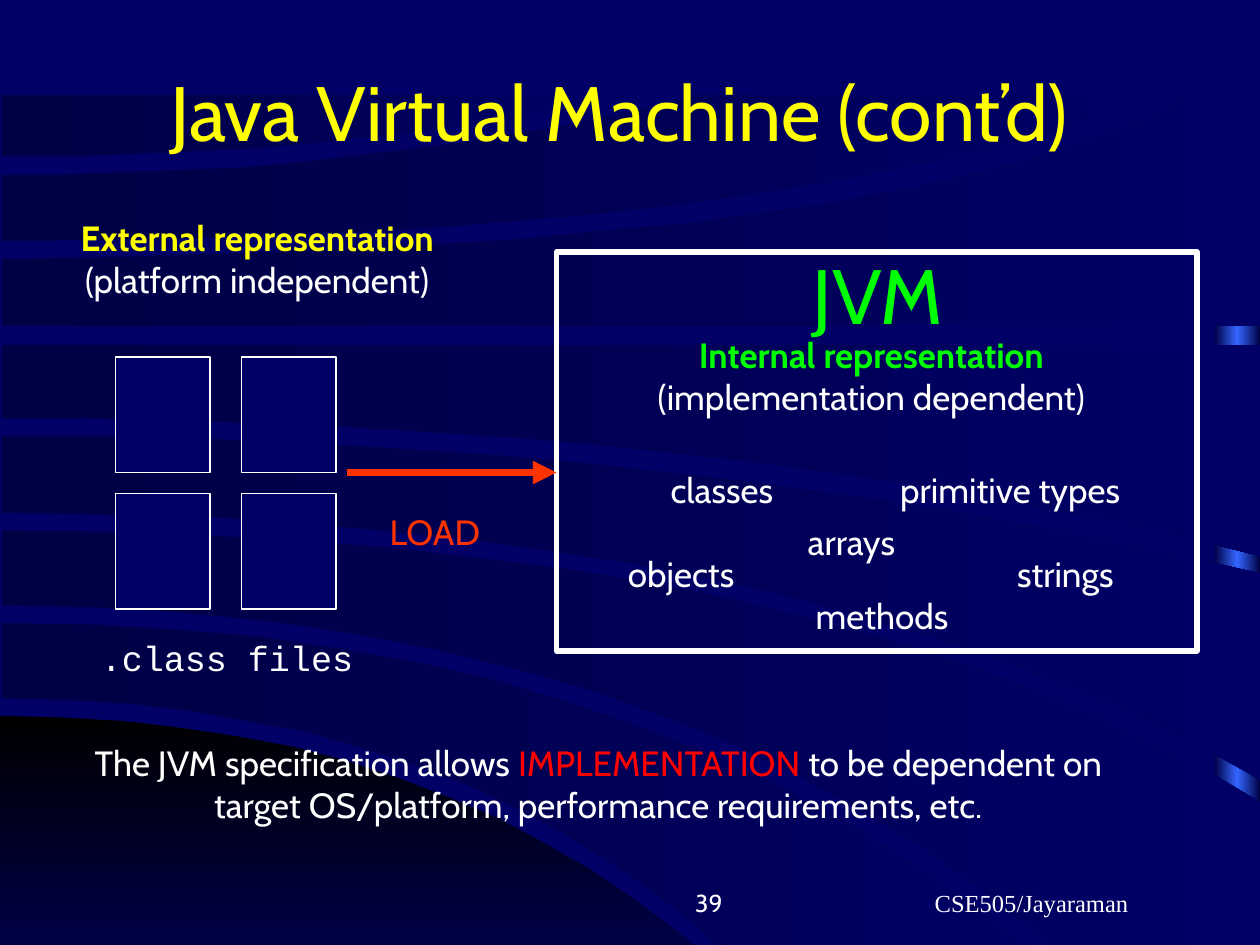
import copy

import pptx
import pptx.dml.color
import pptx.enum.shapes
import pptx.enum.text
import pptx.oxml
import pptx.oxml.ns
import pptx.util

Pt = pptx.util.Pt
ALIGN = pptx.enum.text.PP_ALIGN
ANCHOR = pptx.enum.text.MSO_ANCHOR
AUTO_SIZE = pptx.enum.text.MSO_AUTO_SIZE
RECTANGLE = pptx.enum.shapes.MSO_SHAPE.RECTANGLE

NAVY, DARK_NAVY, BLUE, BLACK = "000066", "000044", "3366FF", "000000"
WHITE, YELLOW, GREEN, RED, ORANGE = "FFFFFF", "FFFF00", "00FF00", "FF0000", "FF3300"

# Edges of the waves: start, control and end of a curve, then any corner
CORNER = ([(0, 409), (287, 409), (453, 595)], [(0, 595)])
WAVES = [
    ([(1, 356), (411, 356), (644, 594)], [(1, 399), (300, 400), (463, 594)]),
    ([(1, 303), (470, 304), (721, 459), (721, 594)],
     [(1, 346), (430, 348), (655, 594)]),
    ([(1, 249), (381, 249), (721, 328)], [(1, 293), (457, 293), (721, 446)]),
    ([(1, 197), (721, 197)], [(1, 239), (415, 239), (721, 318)]),
    ([(1, 148), (530, 143), (680, 54), (721, 54)], [(1, 186), (721, 186)]),
    ([(1, 100), (224, 100), (401, 54)], [(1, 138), (455, 136), (661, 54)]),
    ([(1, 54)], [(1, 89), (190, 90), (361, 54)]),
]

# Words inside the JVM frame: text, left, top, width
JVM_PARTS = [
    ("objects", 348.5, 312, 81.5),
    ("classes", 372, 264, 81),
    ("methods", 455, 336, 98),
    ("arrays", 450, 294, 73),
    ("strings", 569.5, 312, 78.5),
    ("primitive types", 500.5, 264, 153.5),
]


def rgb(value):
    return pptx.dml.color.RGBColor.from_string(value)


def set_gradient(shape, colours, angle):
    """Fill with evenly spaced gradient stops and no outline."""
    shape.shadow.inherit = False
    shape.line.fill.background()
    shape.fill.gradient()
    shape.fill.gradient_angle = angle
    stop_list = shape.element.xpath(".//a:gsLst")[0]
    while len(stop_list) < len(colours):
        stop_list.append(copy.deepcopy(stop_list[-1]))
    for index, (stop, colour) in enumerate(zip(shape.fill.gradient_stops, colours)):
        stop.position = index / (len(colours) - 1)
        stop.color.rgb = rgb(colour)


def trace_edge(edge, steps=16):
    """Points along a quadratic curve; shorter edges stay straight."""
    if len(edge) < 3:
        return edge
    points = []
    for step in range(steps + 1):
        t = step / steps
        weights = ((1 - t) ** 2, 2 * t * (1 - t), t ** 2)
        points.append(tuple(sum(w * value for w, value in zip(weights, values))
                            for values in zip(*edge[:3])))
    return points + edge[3:]


def add_wave(slide, edges, colours, angle=0):
    upper, lower = map(trace_edge, edges)
    outline = upper + lower[::-1]
    builder = slide.shapes.build_freeform(*outline[0], scale=Pt(1))
    builder.add_line_segments(outline[1:], close=True)
    set_gradient(builder.convert_to_shape(), colours, angle)


def add_rectangle(slide, left, top, width, height, line_width, fill=None):
    box = slide.shapes.add_shape(RECTANGLE, Pt(left), Pt(top), Pt(width), Pt(height))
    box.shadow.inherit = False
    if fill:
        box.fill.solid()
        box.fill.fore_color.rgb = rgb(fill)
    else:
        box.fill.background()
    box.line.color.rgb = rgb(WHITE)
    box.line.width = Pt(line_width)


def add_arrow(slide, start, end, colour, width):
    arrow = slide.shapes.add_connector(
        pptx.enum.shapes.MSO_CONNECTOR.STRAIGHT, *map(Pt, start + end))
    arrow.line.color.rgb = rgb(colour)
    arrow.line.width = Pt(width)
    namespace = pptx.oxml.ns.nsdecls("a")
    line = arrow.element.xpath(".//a:ln")[0]
    line.append(pptx.oxml.parse_xml(f'<a:tailEnd {namespace} type="triangle"/>'))
    arrow.element.spPr.append(pptx.oxml.parse_xml(f"<a:effectLst {namespace}/>"))


def write_lines(frame, lines, align=ALIGN.CENTER, size=20, font="Cabin"):
    """Each line is a list of (text, colour) or (text, colour, bold) spans."""
    for index, spans in enumerate(lines):
        para = frame.paragraphs[0] if index == 0 else frame.add_paragraph()
        para.alignment = align
        for text, colour, *bold in spans:
            span = para.add_run()
            span.text = text
            span.font.color.rgb = rgb(colour)
            formats = {"name": font, "size": Pt(size), "bold": bool(bold)}
            for name, value in formats.items():
                setattr(span.font, name, value)


def add_text(slide, left, top, width, height, lines, wrap=False,
             anchor=ANCHOR.TOP, auto_size=AUTO_SIZE.SHAPE_TO_FIT_TEXT, **formats):
    box = slide.shapes.add_textbox(Pt(left), Pt(top), Pt(width), Pt(height))
    settings = {"word_wrap": wrap, "vertical_anchor": anchor, "auto_size": auto_size}
    for name, value in settings.items():
        setattr(box.text_frame, name, value)
    write_lines(box.text_frame, lines, **formats)


def place_title(slide, text):
    title = slide.shapes.title
    places = {"left": 48, "top": 18, "width": 612, "height": 90}
    for name, value in places.items():
        setattr(title, name, Pt(value))
    title.text_frame.vertical_anchor = ANCHOR.MIDDLE
    write_lines(title.text_frame, [[(text, YELLOW)]], size=44)
    # Bring the title in front of the waves
    title.element.getparent().append(title.element)


def draw_background(slide):
    slide.background.fill.solid()
    slide.background.fill.fore_color.rgb = rgb(NAVY)
    strip = slide.shapes.add_shape(RECTANGLE, Pt(694), Pt(55), Pt(26), Pt(485))
    set_gradient(strip, [DARK_NAVY, BLUE, DARK_NAVY], 0)
    add_wave(slide, CORNER, [BLACK, NAVY], 270)
    for edges in WAVES:
        add_wave(slide, edges, [DARK_NAVY, NAVY])


def main():
    deck = pptx.Presentation()
    deck.slide_width, deck.slide_height = Pt(720), Pt(540)
    slide = deck.slides.add_slide(deck.slide_layouts[5])
    draw_background(slide)
    place_title(slide, "Java Virtual Machine (cont’d)")

    # External side: class files in a two by two grid
    add_text(slide, 20, 120, 254, 56, [[("External representation", YELLOW, True)],
                                       [("(platform independent)", WHITE)]])
    for row in range(2):
        for column in range(2):
            add_rectangle(slide, 66 + 72 * column, 204 + 78 * row, 54, 66, 0.75, NAVY)
    add_text(slide, 50.5, 360, 158.5, 32, [[(".class files", WHITE)]],
             font="Courier New")

    # Internal side: the JVM and its parts
    add_rectangle(slide, 318, 144, 366, 228, 3)
    add_text(slide, 455, 138, 93, 60, [[("JVM", GREEN)]], size=44)

    # Loading
    add_arrow(slide, (198, 270), (318, 270), ORANGE, 4.5)
    add_text(slide, 214.5, 288, 68, 32, [[("LOAD", ORANGE)]])

    add_text(slide, 336, 187, 324, 56, [[("Internal representation", GREEN, True)],
                                        [("(implementation dependent)", WHITE)]],
             wrap=True)
    for text, left, top, width in JVM_PARTS:
        add_text(slide, left, top, width, 32, [[(text, WHITE)]])

    # Closing remark
    add_text(slide, 0, 420, 684, 56, [
        [("The JVM specification allows ", WHITE), ("IMPLEMENTATION", RED),
         (" to be dependent on", WHITE)],
        [("target OS/platform, performance requirements, etc.", WHITE)]], wrap=True)

    # Slide number and footer
    footer = {"wrap": True, "anchor": ANCHOR.BOTTOM, "auto_size": AUTO_SIZE.NONE,
              "size": 14}
    add_text(slide, 270, 492, 150, 36, [[("39", WHITE)]], align=ALIGN.RIGHT, **footer)
    add_text(slide, 475.5, 492, 228, 36, [[("CSE505/Jayaraman", WHITE)]],
             font="Times New Roman", **footer)
    deck.save("out.pptx")


if __name__ == "__main__":
    main()
